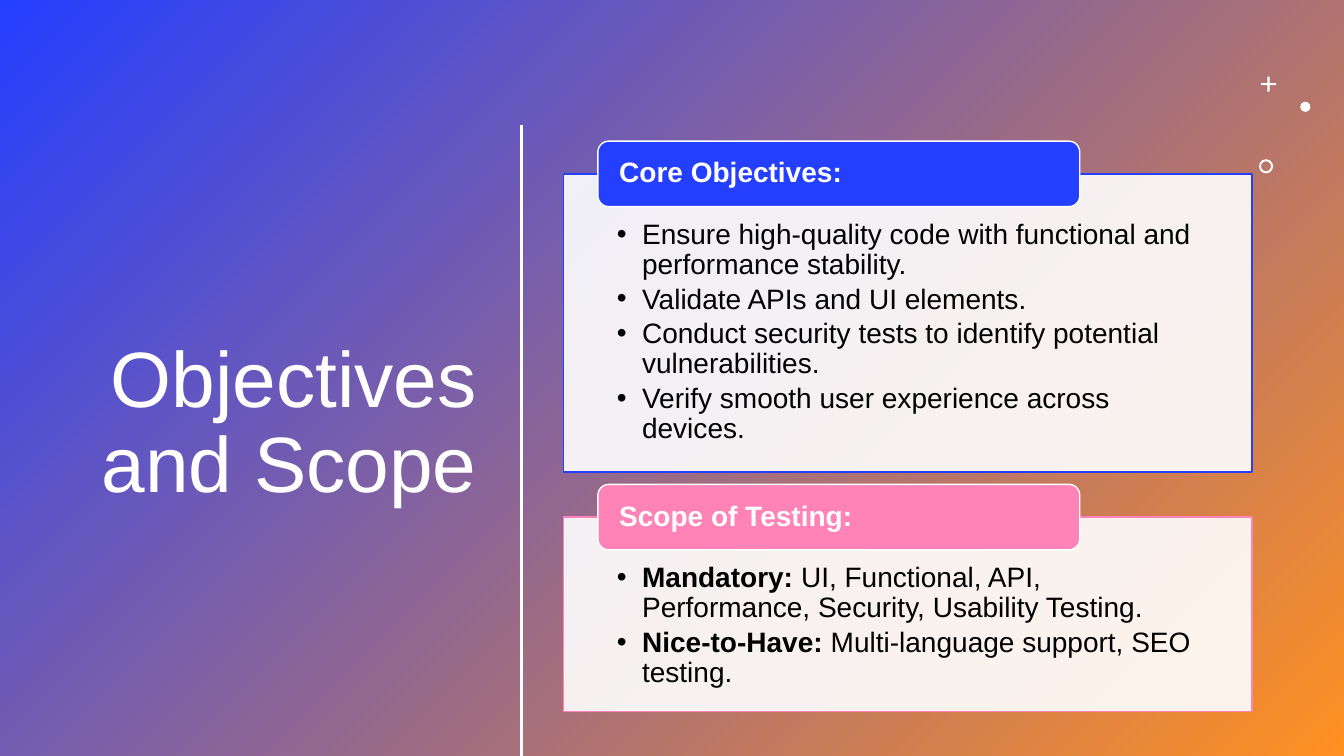
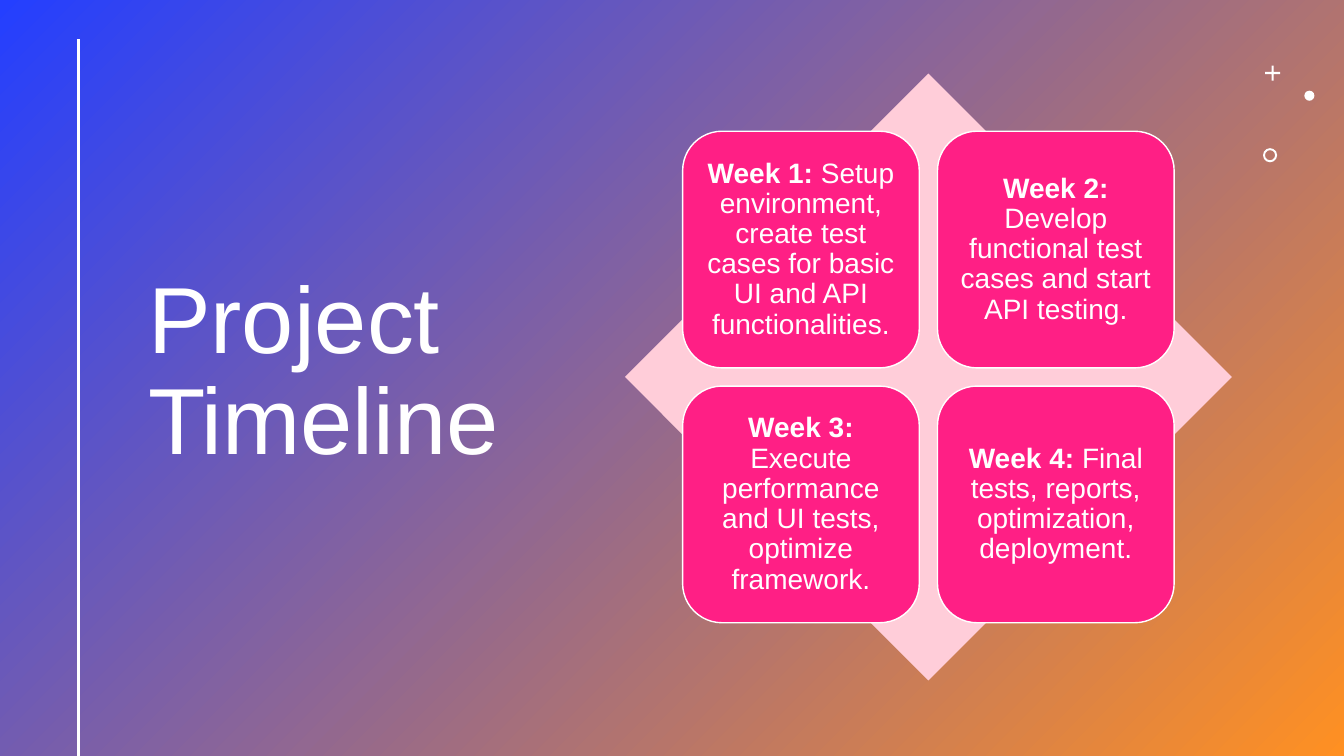
from dataclasses import dataclass

from lxml import etree
from pptx import Presentation
from pptx.dml.color import RGBColor
from pptx.enum.shapes import MSO_CONNECTOR, MSO_SHAPE as SHAPE
from pptx.enum.text import MSO_ANCHOR as ANCHOR, MSO_AUTO_SIZE, PP_ALIGN as ALIGN
from pptx.oxml.ns import qn
from pptx.util import Inches, Pt


@dataclass(frozen=True)
class Theme:
    width: float = 13.333
    height: float = 7.5
    font: str = "Arial"
    blue: str = "243FFF"
    orange: str = "FF9022"
    pink: str = "FF83B6"
    pale_pink: str = "FFCDD9"
    magenta: str = "FF1F85"
    white: str = "FFFFFF"
    black: str = "000000"
    body_size: int = 20
    line_spacing: float = 0.9
    outline: float = 1
    rule: float = 2
    title_size: tuple = (4.31, 6.11)


THEME = Theme()

OBJECTIVES = [
    [("Ensure high-quality code with functional and performance stability.", False)],
    [("Validate APIs and UI elements.", False)],
    [("Conduct security tests to identify potential vulnerabilities.", False)],
    [("Verify smooth user experience across devices.", False)],
]
SCOPE = [
    [("Mandatory:", True),
     (" UI, Functional, API, Performance, Security, Usability Testing.", False)],
    [("Nice-to-Have:", True), (" Multi-language support, SEO testing.", False)],
]
# Heading, colour, body height, bullets
PANELS = [
    ("Core Objectives:", THEME.blue, 2.96, OBJECTIVES),
    ("Scope of Testing:", THEME.pink, 1.93, SCOPE),
]
WEEKS = [
    ("Week 1:", " Setup environment, create test cases for basic UI and API functionalities."),
    ("Week 2:", " Develop functional test cases and start API testing."),
    ("Week 3:", " Execute performance and UI tests, optimize framework."),
    ("Week 4:", " Final tests, reports, optimization, deployment."),
]


# Shared building blocks
def color(value):
    return RGBColor.from_string(value)


def add_box(slide, kind, box, fill, line=None, adjust=None, alpha=None):
    shape = slide.shapes.add_shape(kind, *map(Inches, box))
    shape.shadow.inherit = False
    shape.fill.solid()
    shape.fill.fore_color.rgb = color(fill)
    if alpha is not None:
        solid = shape.fill._xPr.find(qn("a:solidFill"))
        etree.SubElement(solid[0], qn("a:alpha"), val=str(alpha * 1000))
    if line:
        shape.line.color.rgb = color(line)
        shape.line.width = Pt(THEME.outline)
    else:
        shape.line.fill.background()
    if adjust is not None:
        shape.adjustments[0] = adjust
    return shape


def write_text(shape, paragraphs, size, text_color, align, anchor, insets, bullets=False):
    frame = shape.text_frame
    frame.word_wrap = True
    frame.auto_size = MSO_AUTO_SIZE.NONE
    frame.vertical_anchor = anchor
    (frame.margin_left, frame.margin_top,
     frame.margin_right, frame.margin_bottom) = map(Inches, insets)
    for index, runs in enumerate(paragraphs):
        paragraph = frame.add_paragraph() if index else frame.paragraphs[0]
        paragraph.alignment = align
        paragraph.line_spacing = THEME.line_spacing
        if bullets:
            paragraph.space_after = Pt(3)
            add_bullet(paragraph)
        for text, bold in runs:
            run = paragraph.add_run()
            run.text = text
            run.font.name = THEME.font
            run.font.size = Pt(size)
            run.font.bold = bold
            run.font.color.rgb = color(text_color)


def add_bullet(paragraph):
    properties = paragraph._p.get_or_add_pPr()
    properties.set("marL", str(Inches(0.25)))
    properties.set("indent", str(-Inches(0.25)))
    etree.SubElement(properties, qn("a:buFont"), typeface=THEME.font)
    etree.SubElement(properties, qn("a:buChar"), char="•")


def add_rule(slide, x, top):
    """Vertical rule running down to the slide's lower edge."""
    rule = slide.shapes.add_connector(
        MSO_CONNECTOR.STRAIGHT, *map(Inches, (x, top, x, THEME.height)))
    rule.line.color.rgb = color(THEME.white)
    rule.line.width = Pt(THEME.rule)
    etree.SubElement(rule._element.spPr, qn("a:effectLst"))


def add_ornaments(slide, left, top):
    """Small plus, dot and ring near the right edge."""
    for kind, x, y, size, adjust in [
        (SHAPE.CROSS, 0.02, 0, 0.15, 0.43),
        (SHAPE.OVAL, 0.41, 0.25, 0.1, None),
        (SHAPE.DONUT, 0, 0.82, 0.14, 0.14),
    ]:
        add_box(slide, kind, (left + x, top + y, size, size), THEME.white, adjust=adjust)


def add_slide(presentation, title, title_at, title_size, align, rule_at, ornaments_at):
    slide = presentation.slides.add_slide(presentation.slide_layouts.get_by_name("Title Only"))
    placeholder = slide.shapes.title
    placeholder.left, placeholder.top = map(Inches, title_at)
    placeholder.width, placeholder.height = map(Inches, THEME.title_size)
    write_text(placeholder, [[(title, False)]], title_size, THEME.white,
               align, ANCHOR.MIDDLE, (0.1, 0.05, 0.1, 0.05))
    add_rule(slide, *rule_at)
    add_ornaments(slide, *ornaments_at)
    return slide


def set_background(presentation):
    """Diagonal gradient, shared through the title-only layout."""
    fill = presentation.slide_layouts.get_by_name("Title Only").background.fill
    fill.gradient()
    fill.gradient_angle = 315
    for stop, value in zip(fill.gradient_stops, (THEME.blue, THEME.orange)):
        stop.color.rgb = color(value)


# Regions
def add_panels(slide, left, top, width, panels):
    """Stacked bullet panels, each with a tab centred on its upper edge."""
    tab_height, gap = 0.65, 0.12
    for heading, accent, height, bullets in panels:
        body_top = top + tab_height / 2
        body = add_box(slide, SHAPE.RECTANGLE, (left, body_top, width, height),
                       THEME.white, accent, alpha=90)
        write_text(body, bullets, THEME.body_size, THEME.black, ALIGN.LEFT,
                   ANCHOR.TOP, (0.53, 0.46, 0.53, 0.16), bullets=True)
        tab = add_box(slide, SHAPE.ROUNDED_RECTANGLE,
                      (left + 0.05 * width, top, 0.7 * width, tab_height),
                      accent, THEME.white)
        write_text(tab, [[(heading, True)]], THEME.body_size, THEME.white,
                   ALIGN.LEFT, ANCHOR.MIDDLE, (0.18, 0, 0.18, 0))
        top = body_top + height + gap


def add_week_matrix(slide, left, top, size, weeks):
    """Two-by-two tiles centred on a diamond."""
    add_box(slide, SHAPE.DIAMOND, (left, top, size, size), THEME.pale_pink)
    tile, pitch = 0.39 * size, 0.42 * size
    margin = (size - pitch - tile) / 2
    for index, (week, task) in enumerate(weeks):
        row, column = divmod(index, 2)
        box = (left + margin + column * pitch, top + margin + row * pitch, tile, tile)
        shape = add_box(slide, SHAPE.ROUNDED_RECTANGLE, box, THEME.magenta, THEME.white)
        write_text(shape, [[(week, True), (task, False)]], THEME.body_size,
                   THEME.white, ALIGN.CENTER, ANCHOR.MIDDLE, (0.08,) * 4)


# Slides
def add_objectives_slide(presentation):
    slide = add_slide(presentation, "Objectives and Scope", (0.52, 1.16), 56,
                      ALIGN.RIGHT, rule_at=(5.17, 1.24), ornaments_at=(12.49, 0.76))
    add_panels(slide, 5.59, 1.4, 6.83, PANELS)


def add_timeline_slide(presentation):
    slide = add_slide(presentation, "Project Timeline", (1.37, 0.65), 67,
                      ALIGN.LEFT, rule_at=(0.78, 0.39), ornaments_at=(12.53, 0.65))
    add_week_matrix(slide, 6.2, 0.73, 6.02, WEEKS)


def main():
    presentation = Presentation()
    presentation.slide_width = Inches(THEME.width)
    presentation.slide_height = Inches(THEME.height)
    set_background(presentation)
    add_objectives_slide(presentation)
    add_timeline_slide(presentation)
    presentation.save("out.pptx")


if __name__ == "__main__":
    main()
